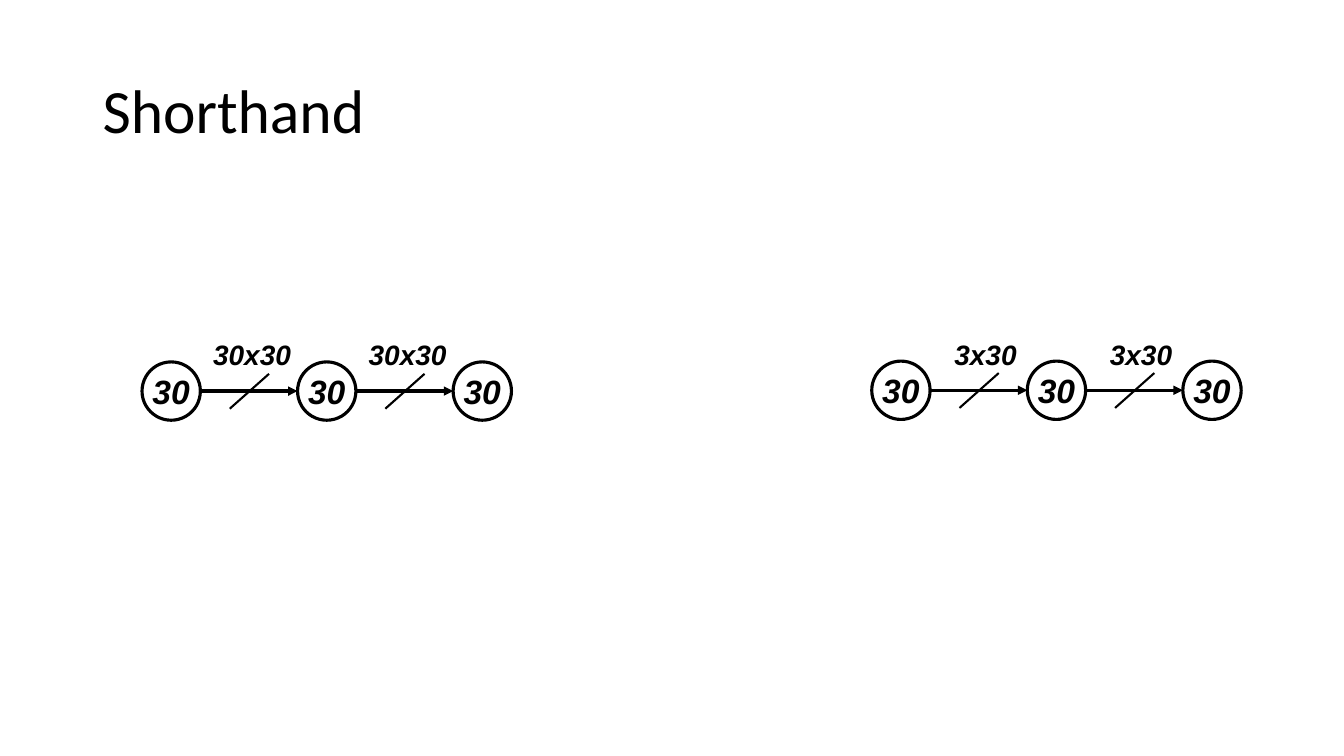
from dataclasses import dataclass

from lxml import etree
from pptx import Presentation
from pptx.dml.color import RGBColor
from pptx.enum.shapes import MSO_CONNECTOR, MSO_SHAPE
from pptx.enum.text import MSO_ANCHOR, MSO_AUTO_SIZE, PP_ALIGN
from pptx.oxml.ns import qn
from pptx.slide import Slide
from pptx.text.text import TextFrame
from pptx.util import Cm, Pt

STRAIGHT = MSO_CONNECTOR.STRAIGHT
OVAL = MSO_SHAPE.OVAL
MIDDLE = MSO_ANCHOR.MIDDLE
TOP = MSO_ANCHOR.TOP
SHAPE_TO_FIT = MSO_AUTO_SIZE.SHAPE_TO_FIT_TEXT
LEFT = PP_ALIGN.LEFT
CENTER = PP_ALIGN.CENTER

COLORS = {"ink": "000000", "paper": "FFFFFF"}
TITLE_FONT = {"name": "Calibri", "size": Pt(44), "bold": False}
NODE_FONT = {"name": "Arial", "size": Pt(24), "bold": True, "italic": True}
LABEL_FONT = {**NODE_FONT, "size": Pt(20)}
NO_INSETS = {"margin_left": 0, "margin_right": 0, "margin_top": 0, "margin_bottom": 0}

DIAMETER = 1.47
PITCH = 3.92
NODE_COUNT = 3


@dataclass(frozen=True)
class Chain:
    left: float
    top: float
    node: str
    weight: str
    label_offset: float
    label_width: float


@dataclass(frozen=True)
class Stroke:
    start: tuple[float, float]
    end: tuple[float, float]
    width: float
    arrow: bool = False


CHAINS = [
    Chain(3.58, 9.12, "30", "30x30", 1.54, 2.49),
    Chain(21.97, 9.1, "30", "3x30", 1.83, 2.11),
]
LINK_STROKES = [
    Stroke((DIAMETER, DIAMETER / 2), (PITCH, DIAMETER / 2), 2.25, True),
    Stroke((2.21, 1.18), (3.2, 0.3), 1.5),
]


def color(name: str) -> RGBColor:
    return RGBColor.from_string(COLORS[name])


def write(frame: TextFrame, text: str, font: dict, align: PP_ALIGN, layout: dict) -> None:
    for name, value in layout.items():
        setattr(frame, name, value)
    para = frame.paragraphs[0]
    para.alignment = align
    span = para.add_run()
    span.text = text
    for name, value in font.items():
        setattr(span.font, name, value)
    span.font.color.rgb = color("ink")


def draw_title(page: Slide, text: str) -> None:
    title = page.shapes.title
    title.left, title.top, title.width, title.height = Cm(2.33), Cm(1.01), Cm(29.21), Cm(3.68)
    write(title.text_frame, text, TITLE_FONT, LEFT, {"vertical_anchor": MIDDLE})
    title.text_frame.paragraphs[0].line_spacing = 0.9


def draw_node(page: Slide, left: float, top: float, text: str) -> None:
    circle = page.shapes.add_shape(OVAL, Cm(left), Cm(top), Cm(DIAMETER), Cm(DIAMETER))
    circle.shadow.inherit = False
    circle.fill.solid()
    circle.fill.fore_color.rgb = color("paper")
    circle.line.color.rgb = color("ink")
    circle.line.width = Pt(2.25)
    layout = {**NO_INSETS, "word_wrap": False, "vertical_anchor": MIDDLE}
    write(circle.text_frame, text, NODE_FONT, CENTER, layout)


def draw_stroke(page: Slide, left: float, top: float, stroke: Stroke) -> None:
    (start_x, start_y), (end_x, end_y) = stroke.start, stroke.end
    line = page.shapes.add_connector(
        STRAIGHT, Cm(left + start_x), Cm(top + start_y), Cm(left + end_x), Cm(top + end_y)
    )
    line.line.color.rgb = color("ink")
    line.line.width = Pt(stroke.width)
    properties = line._element.spPr
    if stroke.arrow:
        etree.SubElement(properties.find(qn("a:ln")), qn("a:tailEnd"), type="triangle")
    etree.SubElement(properties, qn("a:effectLst"))


def draw_label(page: Slide, left: float, top: float, chain: Chain) -> None:
    box = page.shapes.add_textbox(
        Cm(left + chain.label_offset), Cm(top - 0.73), Cm(chain.label_width), Cm(1.11)
    )
    layout = {"word_wrap": False, "vertical_anchor": TOP, "auto_size": SHAPE_TO_FIT}
    write(box.text_frame, chain.weight, LABEL_FONT, LEFT, layout)


def draw_chain(page: Slide, chain: Chain) -> None:
    for index in range(NODE_COUNT):
        left = chain.left + index * PITCH
        draw_node(page, left, chain.top, chain.node)
        if index < NODE_COUNT - 1:
            draw_label(page, left, chain.top, chain)
            for stroke in LINK_STROKES:
                draw_stroke(page, left, chain.top, stroke)


def main() -> None:
    deck = Presentation()
    deck.slide_width, deck.slide_height = Cm(33.87), Cm(19.05)
    page = deck.slides.add_slide(deck.slide_layouts.get_by_name("Title Only"))
    page.background.fill.solid()
    page.background.fill.fore_color.rgb = color("paper")
    draw_title(page, "Shorthand")
    for chain in CHAINS:
        draw_chain(page, chain)
    deck.save("out.pptx")


if __name__ == "__main__":
    main()
